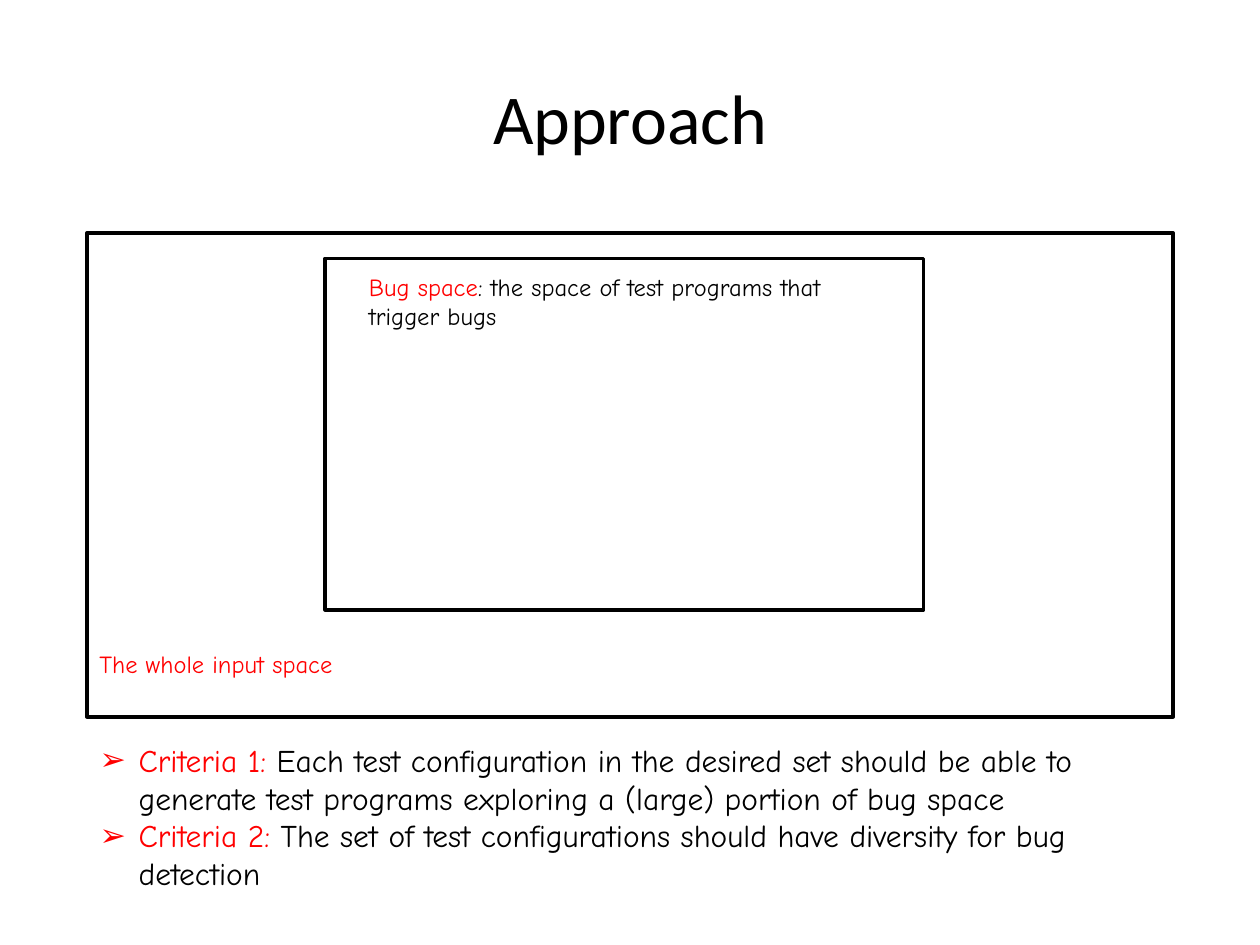
from lxml.etree import SubElement
from pptx import Presentation
from pptx.dml.color import RGBColor
from pptx.enum.shapes import MSO_SHAPE as Shape
from pptx.enum.text import MSO_ANCHOR as Anchor, MSO_AUTO_SIZE as AutoSize, PP_ALIGN as Align
from pptx.oxml.ns import qn
from pptx.util import Inches, Pt

BLACK = RGBColor(0, 0, 0)
WHITE = RGBColor(255, 255, 255)
RED = RGBColor(255, 0, 0)
TITLE_FONT = "Calibri"
TEXT_FONT = "Comic Neue"
SPACE_LEFT = 0.69
INDENT = Inches(0.31)

CRITERIA = [
    ("Criteria 1: ", "Each test configuration in the desired set should be able to "
                     "generate test programs exploring a (large) portion of bug space"),
    ("Criteria 2: ", "The set of test configurations should have diversity for bug detection"),
]


def place(shape, left, top, width, height):
    shape.left, shape.top = Inches(left), Inches(top)
    shape.width, shape.height = Inches(width), Inches(height)


def format_run(run, size, color, name=TEXT_FONT):
    run.font.name = name
    run.font.size = Pt(size)
    run.font.color.rgb = color


def write_term(paragraph, term, explanation, size):
    paragraph.text = term
    format_run(paragraph.runs[0], size, RED)
    if explanation:
        run = paragraph.add_run()
        run.text = explanation
        format_run(run, size, BLACK)


def add_bullet(paragraph):
    paragraph.space_before = Pt(0)
    properties = paragraph._p.get_or_add_pPr()
    properties.set("marL", str(INDENT))
    properties.set("indent", str(-INDENT))
    SubElement(properties, qn("a:buFont"), typeface="Arial")
    SubElement(properties, qn("a:buChar"), char="➢")


def set_title(title, text):
    place(title, 0.5, 0.3, 9, 1.25)
    title.text_frame.text = text
    title.text_frame.vertical_anchor = Anchor.MIDDLE
    paragraph = title.text_frame.paragraphs[0]
    paragraph.alignment = Align.CENTER
    format_run(paragraph.runs[0], 40, BLACK, TITLE_FONT)


def set_criteria(body):
    place(body, SPACE_LEFT, 5.83, 8.63, 1.31)
    text_frame = body.text_frame
    text_frame.auto_size = AutoSize.NONE
    text_frame.text = "\n".join(term for term, _ in CRITERIA)
    for paragraph, (term, explanation) in zip(text_frame.paragraphs, CRITERIA):
        add_bullet(paragraph)
        write_term(paragraph, term, explanation, 18)


def add_space(slide, left, top, width, height):
    shape = slide.shapes.add_shape(
        Shape.RECTANGLE, Inches(left), Inches(top), Inches(width), Inches(height))
    shape.shadow.inherit = False
    shape.fill.solid()
    shape.fill.fore_color.rgb = WHITE
    shape.line.color.rgb = BLACK
    shape.line.width = Pt(2)


def add_label(slide, left, top, height, term, explanation=""):
    label = slide.shapes.add_textbox(
        Inches(left), Inches(top), Inches(4.36), Inches(height))
    label.text_frame.word_wrap = True
    label.text_frame.auto_size = AutoSize.SHAPE_TO_FIT_TEXT
    write_term(label.text_frame.paragraphs[0], term, explanation, 14)


def main():
    presentation = Presentation()
    presentation.slide_width = Inches(10)
    presentation.slide_height = Inches(7.5)
    slide = presentation.slides.add_slide(presentation.slide_layouts[1])
    set_title(slide.shapes.title, "Approach")
    set_criteria(slide.placeholders[1])
    add_space(slide, SPACE_LEFT, 1.85, 8.62, 3.84)
    add_space(slide, 2.58, 2.05, 4.75, 2.79)
    add_label(slide, 2.83, 2.11, 0.57, "Bug space",
              ": the space of test programs that trigger bugs")
    add_label(slide, SPACE_LEFT, 5.1, 0.34, "The whole input space")
    presentation.save("out.pptx")


if __name__ == "__main__":
    main()
